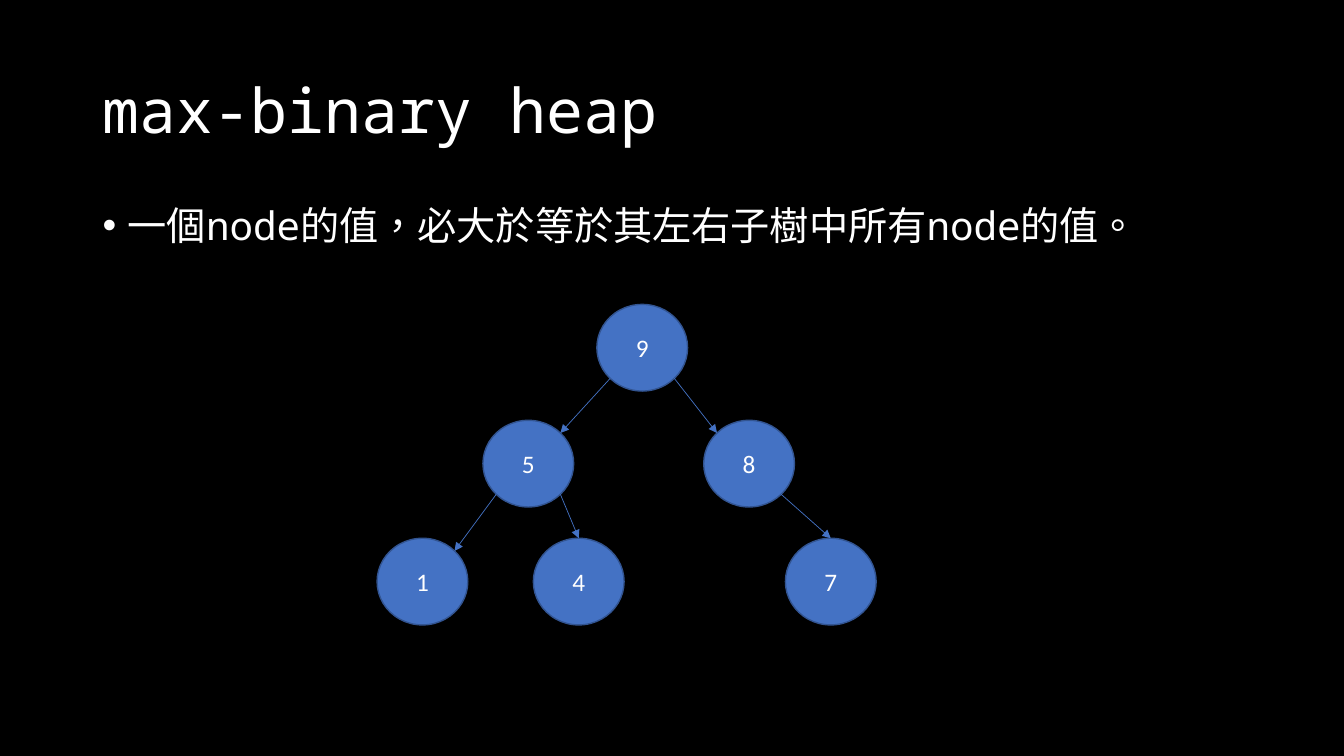
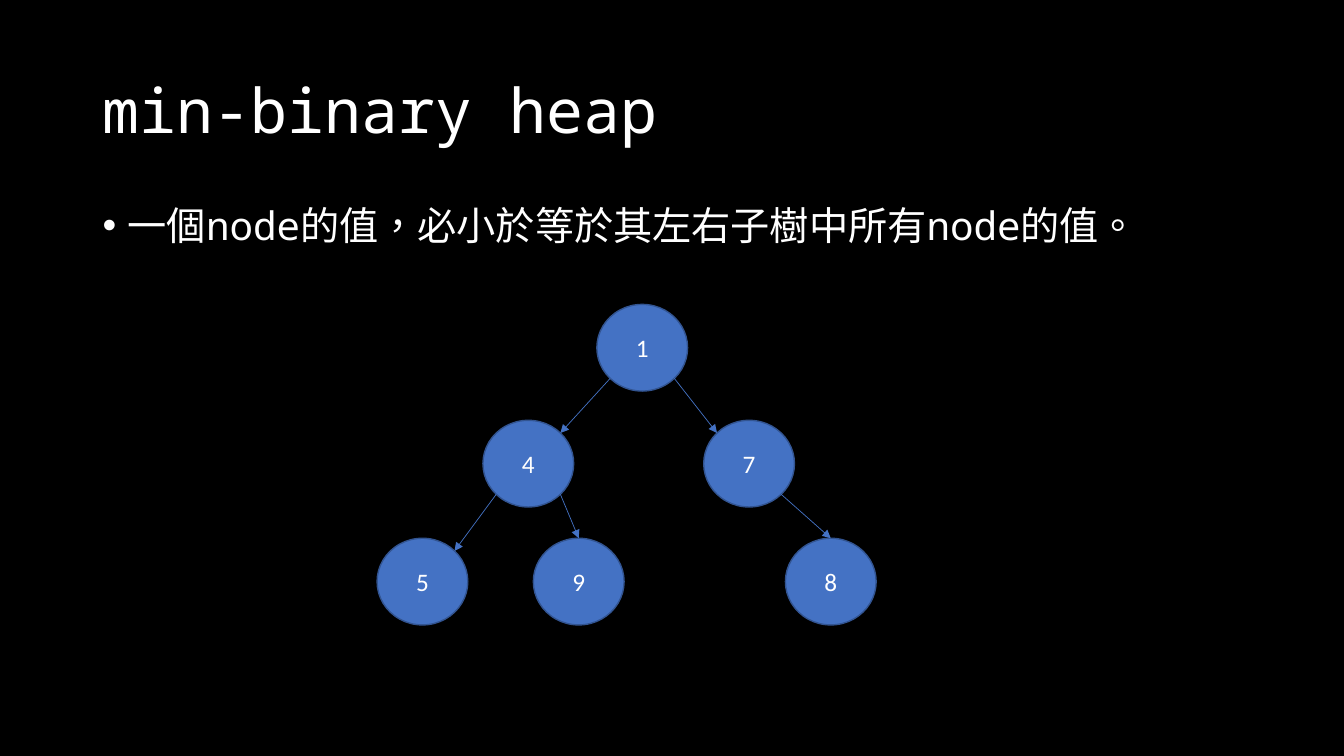
from dataclasses import dataclass

from lxml import etree
from pptx import Presentation
from pptx.dml.color import RGBColor
from pptx.enum.lang import MSO_LANGUAGE_ID
from pptx.enum.shapes import MSO_CONNECTOR, MSO_SHAPE
from pptx.enum.text import MSO_ANCHOR, PP_ALIGN
from pptx.oxml.ns import qn
from pptx.slide import Slide
from pptx.text.text import _Paragraph
from pptx.util import Inches, Pt

BLACK = RGBColor(0x00, 0x00, 0x00)
WHITE = RGBColor(0xFF, 0xFF, 0xFF)
BLUE = RGBColor(0x44, 0x72, 0xC4)
NAVY = RGBColor(0x32, 0x54, 0x91)

OVAL = MSO_SHAPE.OVAL
LINE = MSO_CONNECTOR.STRAIGHT
MIDDLE, TOP = MSO_ANCHOR.MIDDLE, MSO_ANCHOR.TOP
CENTER = PP_ALIGN.CENTER
CHINESE = MSO_LANGUAGE_ID.TRADITIONAL_CHINESE

MONO, SANS = "Noto Sans Mono", "Calibri"
LEFT, WIDTH = 0.92, 11.5
NODE_W, NODE_H = 0.9, 0.86
DIAG = 0.5 ** 0.5  # where a diagonal meets the rim


@dataclass(frozen=True)
class Spot:
    """Centre of a tree node, in inches."""
    x: float
    y: float

    def rim(self, dx: float, dy: float) -> tuple[float, float]:
        return self.x + dx * NODE_W / 2, self.y + dy * NODE_H / 2


@dataclass(frozen=True)
class Edge:
    """Arrow between two nodes; side is -1 for left and 1 for right."""
    start: int
    end: int
    side: int
    to_top: bool = False


@dataclass(frozen=True)
class Heap:
    title: str
    rule: str
    values: tuple[int, ...]


ROWS = (3.45, 4.6, 5.77)
SPOTS = (
    Spot(6.37, ROWS[0]),
    Spot(5.24, ROWS[1]), Spot(7.43, ROWS[1]),
    Spot(4.19, ROWS[2]), Spot(5.74, ROWS[2]), Spot(8.24, ROWS[2]),
)
EDGES = (
    Edge(0, 1, -1), Edge(0, 2, 1),
    Edge(1, 3, -1), Edge(1, 4, 1, True), Edge(2, 5, 1, True),
)
HEAPS = (
    Heap("max-binary heap", "一個node的值，必大於等於其左右子樹中所有node的值。",
         (9, 5, 8, 1, 4, 7)),
    Heap("min-binary heap", "一個node的值，必小於等於其左右子樹中所有node的值。",
         (1, 4, 7, 5, 9, 8)),
)


def set_font(para: _Paragraph, name: str, size: int) -> None:
    para.font.name = name
    para.font.size = Pt(size)
    para.font.color.rgb = WHITE


def add_text(slide: Slide, text: str, top: float, height: float, size: int,
             anchor: MSO_ANCHOR) -> _Paragraph:
    box = slide.shapes.add_textbox(Inches(LEFT), Inches(top),
                                   Inches(WIDTH), Inches(height))
    frame = box.text_frame
    frame.word_wrap = True
    frame.vertical_anchor = anchor
    para = frame.paragraphs[0]
    run = para.add_run()
    run.text = text
    run.font.language_id = CHINESE
    para.line_spacing = 0.9
    set_font(para, MONO, size)
    return para


def add_bullet(para: _Paragraph) -> None:
    para.space_before = Pt(10)
    props = para._p.get_or_add_pPr()
    props.set("marL", str(Inches(0.25)))
    props.set("indent", str(Inches(-0.25)))
    font = etree.Element(qn("a:buFont"), typeface="Arial")
    mark = etree.Element(qn("a:buChar"), char="•")
    fonts = props.find(qn("a:defRPr"))
    fonts.addprevious(font)
    fonts.addprevious(mark)


def add_node(slide: Slide, spot: Spot, value: int) -> None:
    left, top = spot.rim(-1, -1)
    node = slide.shapes.add_shape(OVAL, Inches(left), Inches(top),
                                  Inches(NODE_W), Inches(NODE_H))
    node.shadow.inherit = False
    node.fill.solid()
    node.fill.fore_color.rgb = BLUE
    node.line.color.rgb = NAVY
    node.line.width = Pt(1)
    frame = node.text_frame
    frame.vertical_anchor = MIDDLE
    para = frame.paragraphs[0]
    para.text = str(value)
    para.alignment = CENTER
    set_font(para, SANS, 18)


def add_edge(slide: Slide, edge: Edge) -> None:
    start = SPOTS[edge.start].rim(edge.side * DIAG, DIAG)
    goal = (0, -1) if edge.to_top else (-edge.side * DIAG, -DIAG)
    end = SPOTS[edge.end].rim(*goal)
    arrow = slide.shapes.add_connector(LINE, *map(Inches, start + end))
    arrow.line.color.rgb = BLUE
    arrow.line.width = Pt(0.5)
    etree.SubElement(arrow.line._get_or_add_ln(), qn("a:tailEnd"),
                     type="triangle")
    etree.SubElement(arrow._element.spPr, qn("a:effectLst"))


def add_heap(slide: Slide, heap: Heap) -> None:
    # Title and rule
    add_text(slide, heap.title, 0.4, 1.45, 44, MIDDLE)
    add_bullet(add_text(slide, heap.rule, 2, 4.76, 28, TOP))
    # Tree
    for spot, value in zip(SPOTS, heap.values):
        add_node(slide, spot, value)
    for edge in EDGES:
        add_edge(slide, edge)


def main() -> None:
    deck = Presentation()
    deck.slide_width, deck.slide_height = Inches(13.33), Inches(7.5)
    # Shared background
    back = deck.slide_master.background.fill
    back.solid()
    back.fore_color.rgb = BLACK
    for heap in HEAPS:
        add_heap(deck.slides.add_slide(deck.slide_layouts[6]), heap)
    deck.save("out.pptx")


if __name__ == "__main__":
    main()
